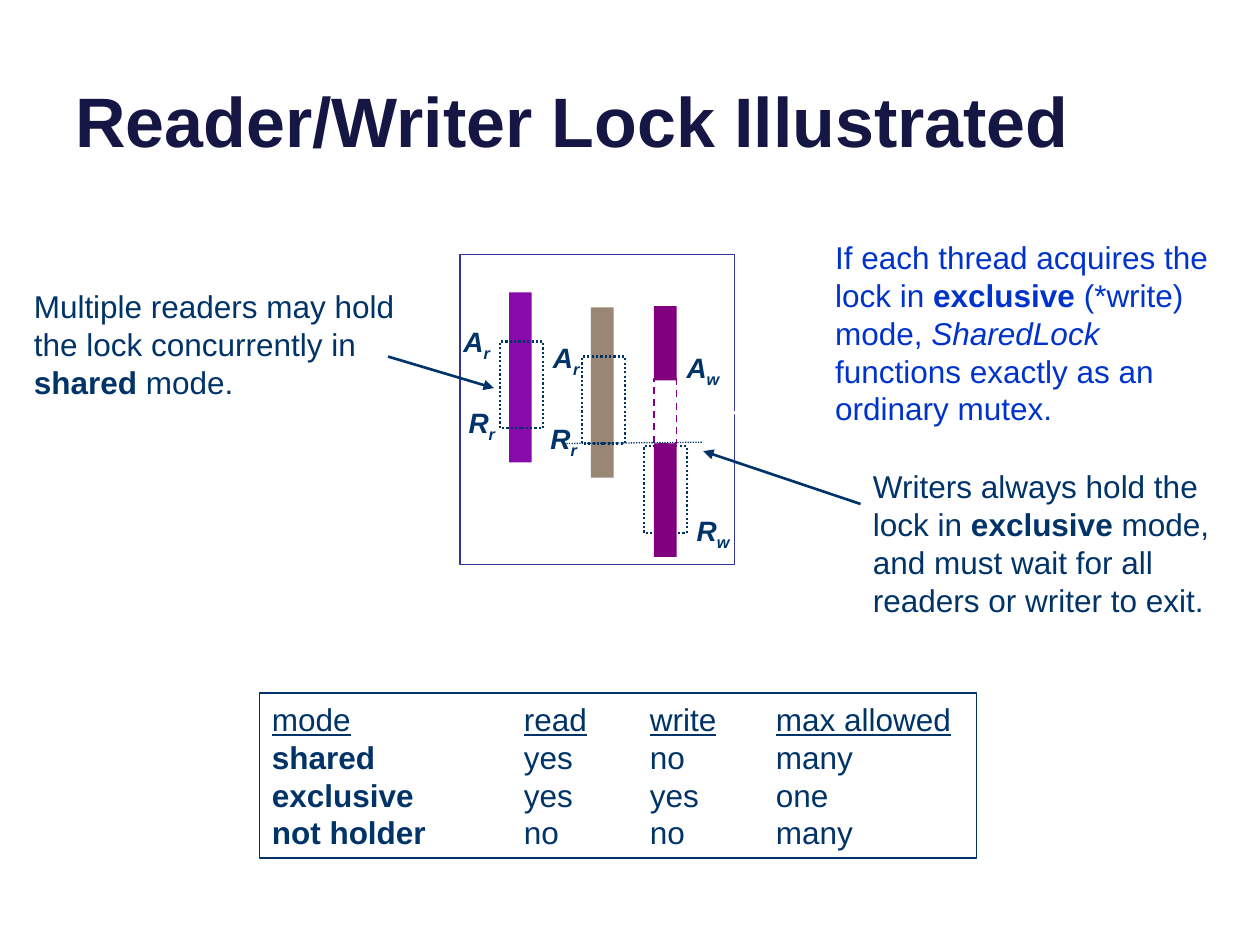
from pptx import Presentation
from pptx.dml.color import RGBColor
from pptx.enum.dml import MSO_LINE
from pptx.enum.shapes import MSO_CONNECTOR, MSO_SHAPE
from pptx.enum.text import MSO_ANCHOR, PP_ALIGN
from pptx.util import Inches, Pt
from lxml import etree

RECT, CALLOUT = MSO_SHAPE.RECTANGLE, MSO_SHAPE.LINE_CALLOUT_2
DOT, DASH = MSO_LINE.ROUND_DOT, MSO_LINE.DASH
STRAIGHT = MSO_CONNECTOR.STRAIGHT
TOP, MIDDLE, BOTTOM = MSO_ANCHOR.TOP, MSO_ANCHOR.MIDDLE, MSO_ANCHOR.BOTTOM
LEFT = PP_ALIGN.LEFT
NS = "{http://schemas.openxmlformats.org/drawingml/2006/main}"
C = {"title": "161645", "ink": "003367", "blue": "0033CC", "frame": "333399",
     "reader1": "880AAA", "reader2": "998674", "writer": "800080", "white": "FFFFFF"}

prs = Presentation()
prs.slide_width, prs.slide_height = Inches(10), Inches(7.5)
s = prs.slides.add_slide(prs.slide_layouts[6])


def add_box(x, y, w, h, fill=None, line=None, width=1, dash=None, kind=RECT):
    sp = s.shapes.add_shape(kind, Inches(x), Inches(y), Inches(w), Inches(h))
    sp.shadow.inherit = False
    if fill:
        sp.fill.solid()
        sp.fill.fore_color.rgb = RGBColor.from_string(C[fill])
    else:
        sp.fill.background()
    if line:
        sp.line.color.rgb = RGBColor.from_string(C[line])
        sp.line.width = Pt(width)
        if dash:
            sp.line.dash_style = dash
    else:
        sp.line.fill.background()
    return sp


def write(sp, paragraphs, size=18, color="ink", anchor=TOP):
    """Fill a shape with paragraphs, each a list of (text, font attributes)."""
    tf = sp.text_frame
    tf.word_wrap = True
    tf.vertical_anchor = anchor
    for i, runs in enumerate(paragraphs):
        p = tf.add_paragraph() if i else tf.paragraphs[0]
        p.alignment = LEFT
        for text, fmt in runs:
            r = p.add_run()
            r.text = text
            r.font.color.rgb = RGBColor.from_string(C[color])
            for name, value in {"name": "Arial", "size": Pt(size), **fmt}.items():
                setattr(r.font, name, value)


bold, italic, underline = {"bold": True}, {"italic": True}, {"underline": True}

title = s.shapes.add_textbox(Inches(0.5), Inches(-0.37), Inches(9), Inches(1.7))
write(title, [[("Reader/Writer Lock Illustrated", bold)]], 40, "title", BOTTOM)

# Thread timelines, with dotted boxes for the spans that hold the lock
add_box(3.65, 2.02, 2.18, 2.46, "white", "frame")
BAR_W, HOLD_W, HOLD_H = 0.18, 0.34, 0.69
for x, y, color in [(4.04, 2.32, "reader1"), (4.69, 2.44, "reader2")]:
    add_box(x, y, BAR_W, 1.35, color)
    add_box(x - 0.07, y + 0.39, HOLD_W, HOLD_H, None, "ink", 1.25, DOT)
WRITER_X = 5.19
add_box(WRITER_X, 2.43, BAR_W, 0.59, "writer")
add_box(WRITER_X - 0.08, 3.54, HOLD_W, HOLD_H, None, "ink", 1.25, DOT)
add_box(WRITER_X, 3.52, BAR_W, 0.9, "writer")
add_box(WRITER_X, 3.01, BAR_W, 0.51, None, "writer", 1, DASH)

# Acquire and release labels
for x, y, w, letter, sub in [(3.58, 2.53, 0.45, "A", "r"), (4.29, 2.65, 0.45, "A", "r"),
                             (3.62, 3.17, 0.45, "R", "r"), (4.27, 3.3, 0.45, "R", "r"),
                             (5.43, 4.03, 0.52, "R", "w"), (5.35, 2.73, 0.52, "A", "w")]:
    sp = s.shapes.add_textbox(Inches(x), Inches(y), Inches(w), Inches(0.37))
    write(sp, [[(letter, bold | italic), (sub, bold | italic)]], 16)
    sp.text_frame.paragraphs[0].runs[1].font._element.set("baseline", "-25000")

# Explanations
readers = add_box(0.17, 2.23, 3.22, 1.01, "white")
write(readers, [[("Multiple readers may hold", {})],
                [("the lock concurrently in ", {}), ("shared", bold), (" mode.", {})]])

writers = add_box(6.83, 3.66, 3.01, 1.31, "white", "white", kind=CALLOUT)
for i, value in enumerate([0.12, -0.04, 0.05, -0.23, -0.42, -0.37]):
    writers.adjustments[i] = value
write(writers, [[("Writers always hold the lock in ", {}), ("exclusive", bold),
                 (" mode, and must wait for all readers or writer to exit.", {})]])

mutex = s.shapes.add_textbox(Inches(6.53), Inches(1.83), Inches(3.31), Inches(1.62))
write(mutex, [[("If each thread acquires the lock in ", {}), ("exclusive", bold),
               (" (*write) mode, ", {}), ("SharedLock", italic),
               (" functions exactly as an ordinary mutex.", {})]], color="blue", anchor=MIDDLE)

# Lock modes, in columns set by tab stops
modes = add_box(2.06, 5.5, 5.69, 1.31, None, "ink")
write(modes, [[("mode\tread\twrite\tmax allowed", underline)],
              [("shared", bold), ("\tyes\tno\tmany", {})],
              [("exclusive", bold), ("\tyes\tyes\tone", {})],
              [("not holder", bold), ("\tno\tno\tmany", {})]], anchor=MIDDLE)
for p in modes.text_frame.paragraphs:
    tabs = etree.SubElement(p._p.get_or_add_pPr(), NS + "tabLst")
    for stop in (2, 3, 4):
        etree.SubElement(tabs, NS + "tab", pos=str(Inches(stop)), algn="l")

# Release line and pointers
for x1, y1, x2, y2, width, arrow in [(5.57, 3.51, 4.49, 3.52, 0.75, False),
                                     (3.08, 2.83, 3.92, 3.08, 1.5, True),
                                     (6.83, 4, 5.58, 3.58, 1.5, True)]:
    cn = s.shapes.add_connector(STRAIGHT, Inches(x1), Inches(y1), Inches(x2), Inches(y2))
    cn.line.color.rgb = RGBColor.from_string(C["ink"])
    cn.line.width = Pt(width)
    if arrow:
        etree.SubElement(cn.line._get_or_add_ln(), NS + "tailEnd", type="triangle")
    else:
        cn.line.dash_style = DOT
    etree.SubElement(cn._element.spPr, NS + "effectLst")

prs.save("out.pptx")
